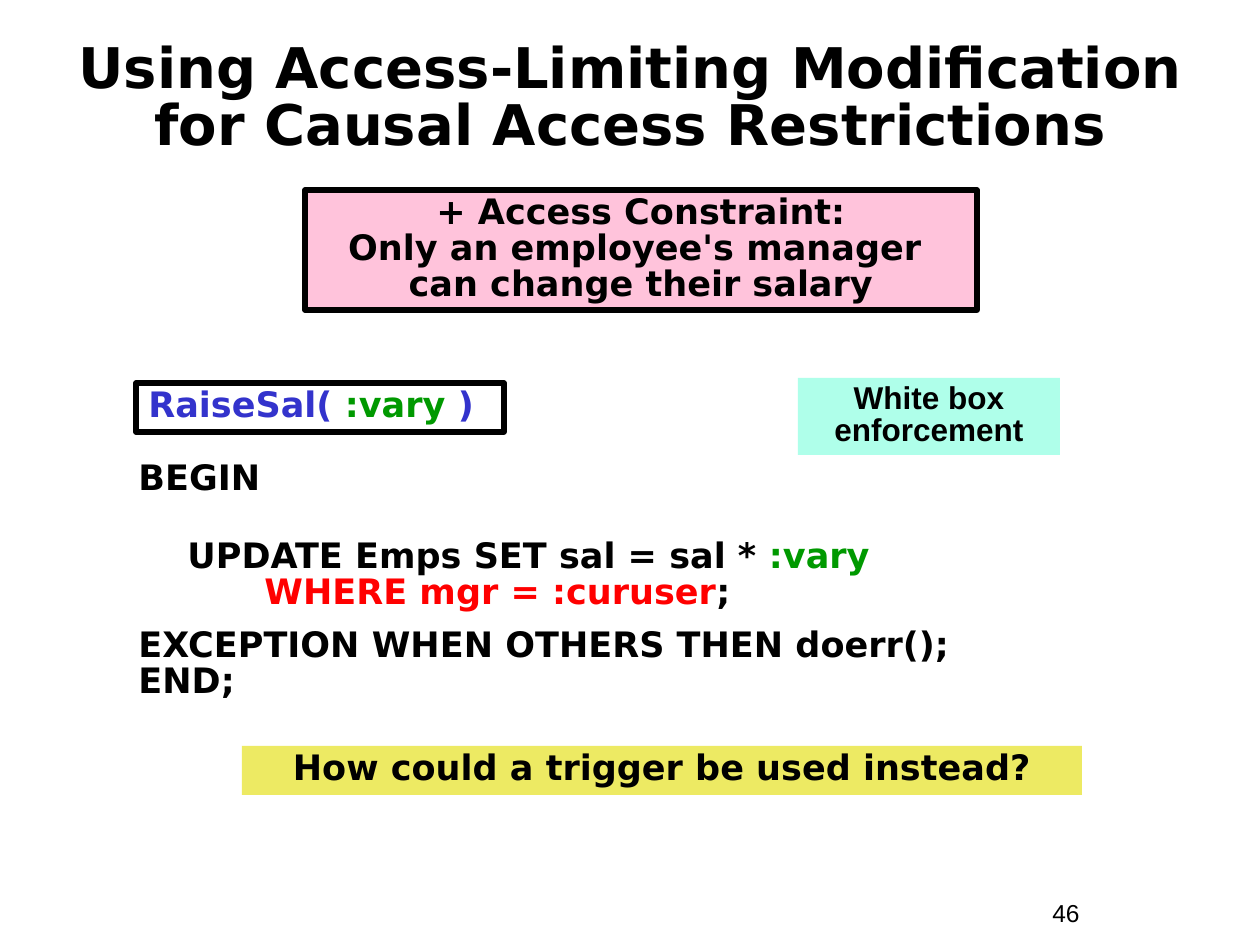
"""Build the slide on access-limiting modification."""
from dataclasses import dataclass

from pptx import Presentation
from pptx.dml.color import RGBColor
from pptx.enum.shapes import MSO_SHAPE
from pptx.enum.text import MSO_ANCHOR, MSO_AUTO_SIZE, PP_ALIGN
from pptx.util import Inches, Pt

RECT = MSO_SHAPE.RECTANGLE
TOP, MIDDLE = MSO_ANCHOR.TOP, MSO_ANCHOR.MIDDLE
GROW, FIXED = MSO_AUTO_SIZE.SHAPE_TO_FIT_TEXT, MSO_AUTO_SIZE.NONE
LEFT, CENTER = PP_ALIGN.LEFT, PP_ALIGN.CENTER
SCALE = 914400 / 126


@dataclass(frozen=True)
class Theme:
    """Hold the colours, fonts and type sizes."""
    ink: str = "000000"
    call: str = "3333CC"
    param: str = "009900"
    guard: str = "FF0000"
    pink: str = "FFC3DB"
    mint: str = "AFFFEA"
    yellow: str = "EDEA63"
    sans: str = "DejaVu Sans"
    plain: str = "Arial"
    title: int = 32
    body: int = 20
    label: int = 18
    page: int = 14
    border: int = 3
    leading: float = 0.85


THEME = Theme()


def px(*nums):
    """Turn pixel lengths into EMU."""
    return [round(num * SCALE) for num in nums]


def color(code):
    """Turn a hex code into a colour."""
    return RGBColor.from_string(code)


def style(font, size, face, ink, bold):
    """Format a font."""
    font.size, font.name, font.bold = Pt(size), face, bold
    font.color.rgb = color(ink)


def write(frame, paras, size=THEME.body, face=THEME.sans, bold=True,
          align=LEFT, leading=THEME.leading, anchor=TOP, fit=GROW):
    """Write (runs, indent, gap) paragraphs, where runs are (text, ink)."""
    frame.word_wrap, frame.auto_size = True, fit
    frame.vertical_anchor = anchor
    frame.margin_left = frame.margin_right = Inches(0.1)
    frame.margin_top = frame.margin_bottom = Inches(0.05)
    for num, (runs, indent, gap) in enumerate(paras):
        para = frame.add_paragraph() if num else frame.paragraphs[0]
        if indent:
            props = para._p.get_or_add_pPr()
            props.set("marL", str(px(indent)[0]))
            props.set("indent", "0")
        para.alignment, para.line_spacing = align, leading
        para.space_before = Pt(gap)
        style(para.font, size, face, THEME.ink, bold)
        for text, ink in runs:
            for row, line in enumerate(text.split("\n")):
                if row:
                    para.add_line_break()
                run = para.add_run()
                run.text = line
                style(run.font, size, face, ink, bold)


def plain(text):
    """Return one paragraph in the main ink."""
    return [([(text, THEME.ink)], 0, 0)]


def panel(slide, box, paras, fill=None, border=False, **form):
    """Add a rectangle with text."""
    shape = slide.shapes.add_shape(RECT, *px(*box))
    shape.shadow.inherit = False
    if fill:
        shape.fill.solid()
        shape.fill.fore_color.rgb = color(fill)
    else:
        shape.fill.background()
    if border:
        shape.line.color.rgb = color(THEME.ink)
        shape.line.width = Pt(THEME.border)
    else:
        shape.line.fill.background()
    write(shape.text_frame, paras, **form)


def label(slide, box, paras, **form):
    """Add a text box."""
    shape = slide.shapes.add_textbox(*px(*box))
    write(shape.text_frame, paras, **form)


def head(slide, box, text):
    """Place and format the title."""
    title = slide.shapes.title
    title.left, title.top, title.width, title.height = px(*box)
    write(title.text_frame, plain(text), size=THEME.title, align=CENTER,
          anchor=MIDDLE, fit=FIXED)


def main():
    """Build and save the slide."""
    deck = Presentation()
    deck.slide_width, deck.slide_height = px(1260, 945)
    slide = deck.slides.add_slide(deck.slide_layouts[5])
    ink, param = THEME.ink, THEME.param

    head(slide, (32, 42, 1197, 116),
         "Using Access-Limiting Modification for Causal Access Restrictions")
    label(slide, (1040, 892, 116, 43), plain("46"), size=THEME.page,
          face=THEME.plain, bold=False, leading=1.0)
    code = [
        ([("BEGIN", ink)], 0, 0),
        ([("UPDATE Emps SET sal = sal * ", ink), (":vary", param)], 49, 24),
        ([("WHERE mgr = :curuser", THEME.guard), (";", ink)], 126, 0),
        ([("EXCEPTION WHEN OTHERS THEN doerr();", ink)], 0, 10),
        ([("END;", ink)], 0, 0),
    ]
    label(slide, (126, 456, 903, 252), code)
    call = [("RaiseSal( ", THEME.call), (":vary ", param), (")", THEME.call)]
    panel(slide, (136, 383, 368, 49), [(call, 0, 0)], border=True)
    panel(slide, (242, 746, 840, 49),
          plain("How could a trigger be used instead?"),
          fill=THEME.yellow, align=CENTER)
    panel(slide, (305, 190, 672, 120),
          plain("+ Access Constraint:\nOnly an employee's manager \n"
                "can change their salary"),
          fill=THEME.pink, border=True, align=CENTER)
    panel(slide, (798, 378, 262, 77), plain("White box\nenforcement"),
          fill=THEME.mint, size=THEME.label, face=THEME.plain, align=CENTER)
    deck.save("out.pptx")


if __name__ == "__main__":
    main()
